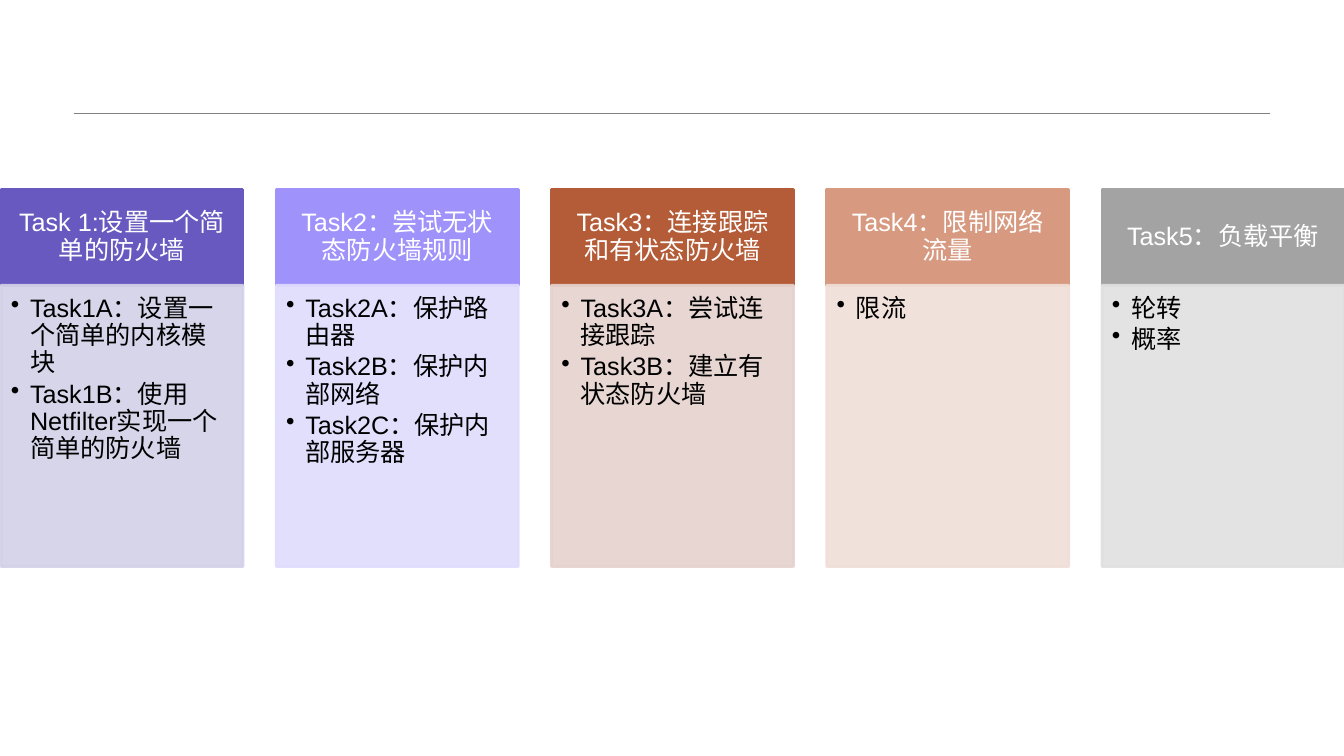
from dataclasses import dataclass

from pptx import Presentation
from pptx import util as u
from pptx.dml.color import RGBColor
from pptx.enum import shapes, text
from pptx.oxml import ns
from pptx.oxml import xmlchemy as xml

WHITE = RGBColor(0xFF, 0xFF, 0xFF)
BLACK = RGBColor(0x00, 0x00, 0x00)
RULE_GREY = RGBColor(0x80, 0x80, 0x80)
PURPLE = RGBColor(0x67, 0x59, 0xBF)
PURPLE_TINT = RGBColor(0xD3, 0xD1, 0xE8)
LILAC = RGBColor(0x9F, 0x93, 0xFB)
LILAC_TINT = RGBColor(0xDF, 0xDC, 0xFD)
RUST = RGBColor(0xB4, 0x5C, 0x38)
RUST_TINT = RGBColor(0xE5, 0xD2, 0xCE)
SALMON = RGBColor(0xD7, 0x9A, 0x81)
SALMON_TINT = RGBColor(0xF0, 0xDE, 0xD8)
GREY = RGBColor(0xA3, 0xA3, 0xA3)
GREY_TINT = RGBColor(0xE0, 0xE0, 0xE0)

FONT = "Arial"
FONT_SIZE = u.Pt(18)
BULLET_INDENT = u.Inches(0.19)
GRID_LEFT = u.Inches(0.01)
COLUMN_STEP = u.Inches(2.73)
COLUMN_WIDTH = u.Inches(2.4)
HEADING_TOP = u.Inches(1.88)
HEADING_HEIGHT = u.Inches(0.95)
LIST_TOP = HEADING_TOP + HEADING_HEIGHT
LIST_HEIGHT = u.Inches(2.79)
HEADING_INSETS = (0.14, 0.08, 0.14, 0.08)
LIST_INSETS = (0.1, 0.1, 0.14, 0.16)


@dataclass(frozen=True)
class Task:
    heading: str
    steps: tuple[str, ...]
    color: RGBColor
    tint: RGBColor


TASKS = (
    Task("Task 1:设置一个简单的防火墙",
         ("Task1A：设置一个简单的内核模块", "Task1B：使用Netfilter实现一个简单的防火墙"),
         PURPLE, PURPLE_TINT),
    Task("Task2：尝试无状态防火墙规则",
         ("Task2A：保护路由器", "Task2B：保护内部网络", "Task2C：保护内部服务器"),
         LILAC, LILAC_TINT),
    Task("Task3：连接跟踪和有状态防火墙",
         ("Task3A：尝试连接跟踪", "Task3B：建立有状态防火墙"),
         RUST, RUST_TINT),
    Task("Task4：限制网络流量", ("限流",), SALMON, SALMON_TINT),
    Task("Task5：负载平衡", ("轮转", "概率"), GREY, GREY_TINT),
)


def add_box(slide, column: int, top: int, height: int, color: RGBColor,
            insets: tuple[float, ...], anchor: text.MSO_ANCHOR):
    shape = slide.shapes.add_shape(
        shapes.MSO_SHAPE.RECTANGLE, GRID_LEFT + column * COLUMN_STEP, top, COLUMN_WIDTH, height)
    shape.shadow.inherit = False
    shape.fill.solid()
    shape.fill.fore_color.rgb = color
    shape.line.color.rgb = color
    shape.line.width = u.Pt(2)
    frame = shape.text_frame
    frame.word_wrap = True
    frame.vertical_anchor = anchor
    frame.margin_left, frame.margin_top, frame.margin_right, frame.margin_bottom = map(u.Inches, insets)
    return shape


def write(paragraph, words: str, color: RGBColor, alignment: text.PP_ALIGN) -> None:
    paragraph.alignment = alignment
    paragraph.line_spacing = 0.9
    run = paragraph.add_run()
    run.text = words
    run.font.name = FONT
    run.font.size = FONT_SIZE
    run.font.color.rgb = color


def add_bullet(paragraph) -> None:
    paragraph.level = 1
    paragraph.space_after = u.Pt(3)
    properties = paragraph._p.get_or_add_pPr()
    properties.set("marL", str(BULLET_INDENT))
    properties.set("indent", str(-BULLET_INDENT))
    bullet = xml.OxmlElement("a:buChar")
    bullet.set("char", "•")
    properties.append(bullet)


def make_translucent(shape, percent: int) -> None:
    for color in shape._element.spPr.iter(ns.qn("a:srgbClr")):
        alpha = xml.OxmlElement("a:alpha")
        alpha.set("val", str(percent * 1000))
        color.append(alpha)


def add_task(slide, column: int, task: Task) -> None:
    heading = add_box(slide, column, HEADING_TOP, HEADING_HEIGHT, task.color,
                      HEADING_INSETS, text.MSO_ANCHOR.MIDDLE)
    write(heading.text_frame.paragraphs[0], task.heading, WHITE, text.PP_ALIGN.CENTER)

    steps = add_box(slide, column, LIST_TOP, LIST_HEIGHT, task.tint, LIST_INSETS, text.MSO_ANCHOR.TOP)
    make_translucent(steps, 90)
    frame = steps.text_frame
    for index, step in enumerate(task.steps):
        paragraph = frame.add_paragraph() if index else frame.paragraphs[0]
        write(paragraph, step, BLACK, text.PP_ALIGN.LEFT)
        add_bullet(paragraph)


def add_rule(slide) -> None:
    top = u.Inches(1.12)
    rule = slide.shapes.add_connector(
        shapes.MSO_CONNECTOR.STRAIGHT, u.Inches(0.73), top, u.Inches(12.6), top)
    rule.line.color.rgb = RULE_GREY
    rule.line.width = u.Pt(0.25)
    rule._element.spPr.append(xml.OxmlElement("a:effectLst"))


def main() -> None:
    presentation = Presentation()
    presentation.slide_width = u.Inches(13.33)
    presentation.slide_height = u.Inches(7.5)
    slide = presentation.slides.add_slide(presentation.slide_layouts.get_by_name("Blank"))
    add_rule(slide)
    for column, task in enumerate(TASKS):
        add_task(slide, column, task)
    presentation.save("out.pptx")


if __name__ == "__main__":
    main()
